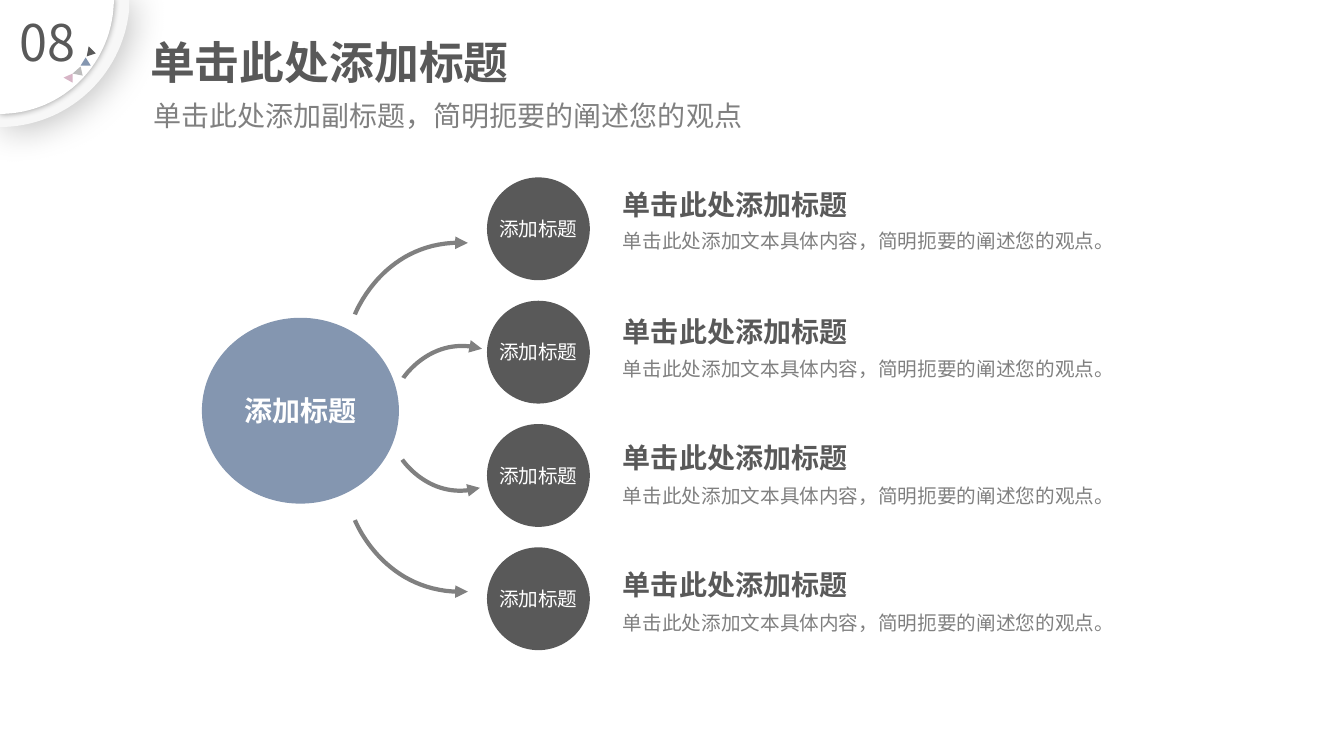
from lxml.etree import SubElement
from pptx import Presentation
from pptx.dml.color import RGBColor
from pptx.enum.shapes import MSO_SHAPE
from pptx.enum.text import MSO_ANCHOR, MSO_AUTO_SIZE, PP_ALIGN
from pptx.oxml.ns import qn
from pptx.util import Pt

PX = 9144  # 100 px to the inch
FONT = "Noto Sans CJK SC"
HEX = {"white": "FFFFFF", "rim": "F7F7F7", "dark": "595959", "blue": "8496B0",
       "gray": "808080", "pale": "BCBCBC", "pink": "D7B5C6", "black": "000000"}
TITLE = "单击此处添加标题"
LABEL = "添加标题"
BODY = "单击此处添加文本具体内容，简明扼要的阐述您的观点。"


def tint(name):
    return RGBColor.from_string(HEX[name])


def emu(*nums):
    return [round(n * PX) for n in nums]


def curve(a, b, c, d, steps=32):
    """Points of a cubic Bezier from a to d."""
    pts = []
    for i in range(steps + 1):
        t = i / steps
        u = 1 - t
        mix = (u ** 3, 3 * u * u * t, 3 * u * t * t, t ** 3)
        pts.append(tuple(sum(m * p[k] for m, p in zip(mix, (a, b, c, d)))
                         for k in (0, 1)))
    return pts


def paint(shape, fill=None, line=None, width=1):
    shape.shadow.inherit = False
    if fill:
        shape.fill.solid()
        shape.fill.fore_color.rgb = tint(fill)
    else:
        shape.fill.background()
    if line:
        shape.line.color.rgb = tint(line)
        shape.line.width = Pt(width)
    else:
        shape.line.fill.background()


def trace(slide, pts, close=True, **style):
    pts = [emu(*p) for p in pts]
    pen = slide.shapes.build_freeform(*pts[0], scale=1.0)
    pen.add_line_segments(pts[1:], close=close)
    shape = pen.convert_to_shape()
    paint(shape, **style)
    return shape


def shade(shape, alpha, blur, dist=0, angle=0):
    effects = shape._element.spPr.find(qn("a:effectLst"))
    outer = SubElement(effects, qn("a:outerShdw"), blurRad=str(Pt(blur)),
                       dist=str(Pt(dist)), dir=str(angle * 60000),
                       algn="ctr", rotWithShape="0")
    color = SubElement(outer, qn("a:srgbClr"), val=HEX["black"])
    SubElement(color, qn("a:alpha"), val=str(alpha * 1000))


def arrow(slide, *ctrl):
    """Curved arrow whose head sits on the first point."""
    shape = trace(slide, curve(*ctrl), close=False, line="gray", width=3)
    SubElement(shape.line._get_or_add_ln(), qn("a:headEnd"), type="triangle")


def write(shape, text, size=14, color="gray", bold=False, align=PP_ALIGN.LEFT,
          anchor=MSO_ANCHOR.TOP, space=None, wrap=True, grow=False):
    frame = shape.text_frame
    frame.word_wrap = wrap
    frame.auto_size = (MSO_AUTO_SIZE.SHAPE_TO_FIT_TEXT if grow
                       else MSO_AUTO_SIZE.NONE)
    frame.vertical_anchor = anchor
    para = frame.paragraphs[0]
    para.alignment = align
    if space:
        para.line_spacing = space
    run = para.add_run()
    run.text = text
    font = run.font
    font.size, font.bold, font.name = Pt(size), bold, FONT
    font.color.rgb = tint(color)
    SubElement(run._r.get_or_add_rPr(), qn("a:ea"), typeface=FONT)


def note(slide, box, text, **form):
    write(slide.shapes.add_textbox(*emu(*box)), text, **form)


def disc(slide, box, text, fill, line=None, **form):
    shape = slide.shapes.add_shape(MSO_SHAPE.OVAL, *emu(*box))
    paint(shape, fill, line)
    write(shape, text, color="white", align=PP_ALIGN.CENTER,
          anchor=MSO_ANCHOR.MIDDLE, **form)


def corner(slide):
    rim = [(0, -1), (128, -1)] + curve((128, 11), (121, 76), (66, 126), (0, 126))
    shade(trace(slide, rim, fill="rim"), 25, 26, 3, 45)
    face = [(0, -1)] + curve((113, -1), (113, 62), (63, 113), (0, 113))
    shade(trace(slide, face, fill="white"), 40, 5)
    chips = (("dark", (95, 53), (86, 56), (88, 46)),
             ("blue", (90, 65), (80, 65), (85, 57)),
             ("pale", (82, 75), (72, 73), (80, 66)),
             ("pink", (72, 82), (63, 77), (72, 73)))
    for color, *pts in chips:
        trace(slide, pts, fill=color)
    note(slide, (4, 6, 87, 71), "08", size=36, color="dark",
         align=PP_ALIGN.CENTER)


def main():
    prs = Presentation()
    prs.slide_width, prs.slide_height = emu(1333, 750)
    slide = prs.slides.add_slide(prs.slide_layouts[6])

    # Page number and headings
    corner(slide)
    note(slide, (139, 41, 618, 52), TITLE, size=32, color="dark", bold=True,
         anchor=MSO_ANCHOR.BOTTOM, space=0.9)
    note(slide, (142, 97, 616, 38),
         "单击此处添加副标题，简明扼要的阐述您的观点", size=20, space=0.9)

    # Hub and its arrows
    disc(slide, (201, 316, 194, 183), LABEL, "blue", "blue", size=20, bold=True)
    arrow(slide, (464, 241), (381, 236), (352, 312), (352, 312))
    arrow(slide, (464, 587), (381, 591), (352, 516), (352, 516))
    arrow(slide, (478, 346), (428, 332), (400, 375), (400, 375))
    arrow(slide, (476, 484), (427, 498), (399, 456), (399, 456))

    # Four branches
    for i in range(4):
        disc(slide, (483, 176 + i * 367 / 3, 102, 102), LABEL, "dark", wrap=False)
        note(slide, (608, 181 + i * 377 / 3, 585, 44), TITLE, size=20,
             color="dark", bold=True, grow=True)
        note(slide, (608, 218 + i * 126, 585, 49), BODY, space=1.2)

    prs.save("out.pptx")


if __name__ == "__main__":
    main()
